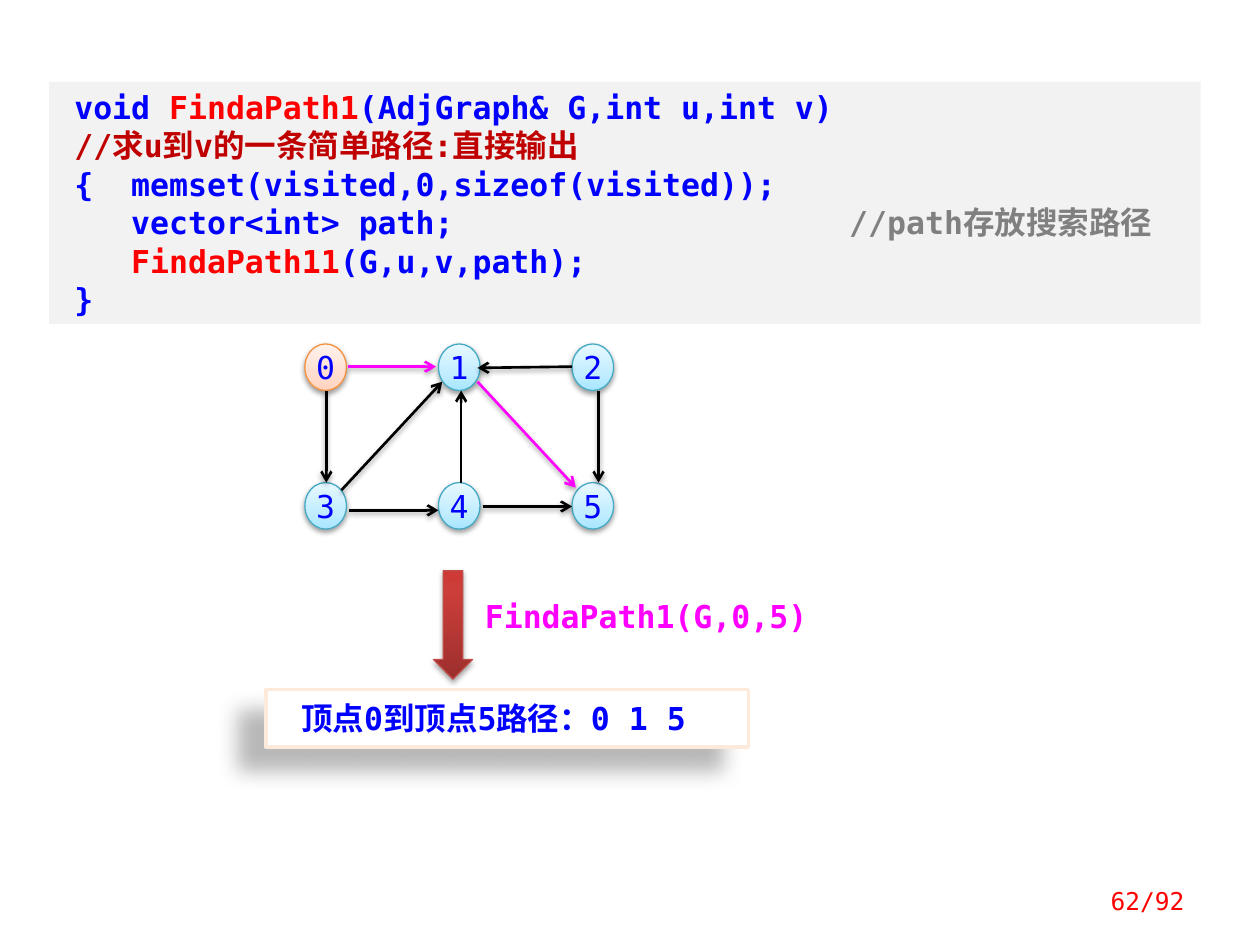
from dataclasses import dataclass
from typing import NamedTuple, Optional

import pptx
import pptx.dml.color
import pptx.enum.shapes
import pptx.enum.text
import pptx.oxml
import pptx.oxml.ns
import pptx.util
from pptx.dml.color import RGBColor
from pptx.util import Inches, Pt

FONT = "DejaVu Sans Mono"
BLUE = RGBColor(0x00, 0x00, 0xFF)
RED = RGBColor(0xFF, 0x00, 0x00)
DARK_RED = RGBColor(0xC0, 0x00, 0x00)
GRAY = RGBColor(0x80, 0x80, 0x80)
MAGENTA = RGBColor(0xFF, 0x00, 0xFF)
BLACK = RGBColor(0x00, 0x00, 0x00)
WHITE = RGBColor(0xFF, 0xFF, 0xFF)
CODE_FILL = RGBColor(0xF2, 0xF2, 0xF2)
RESULT_LINE = RGBColor(0xFD, 0xEA, 0xDA)

SHAPES = pptx.enum.shapes.MSO_SHAPE
ANCHOR = pptx.enum.text.MSO_ANCHOR
ALIGN = pptx.enum.text.PP_ALIGN
GROW = pptx.enum.text.MSO_AUTO_SIZE.SHAPE_TO_FIT_TEXT


class Box(NamedTuple):
    left: float
    top: float
    width: float
    height: float


class Shadow(NamedTuple):
    opacity: int
    blur: float
    distance: float
    angle: int


class Palette(NamedTuple):
    stops: tuple[tuple[int, RGBColor], ...]
    line: RGBColor


class Piece(NamedTuple):
    text: str
    color: RGBColor


@dataclass
class Node:
    label: str
    column: int
    row: int
    palette: Palette


@dataclass
class Edge:
    start: tuple[float, float]
    end: tuple[float, float]
    color: RGBColor = BLACK
    shaded: bool = True


SOFT_SHADOW = Shadow(38, 3.1, 1.6, 90)
ARROW_SHADOW = Shadow(35, 3.1, 1.8, 90)
RESULT_SHADOW = Shadow(28, 11.8, 19.7, 141)

CYAN_NODE = Palette(
    ((0, RGBColor(0xA7, 0xE6, 0xFF)), (35, RGBColor(0xC1, 0xED, 0xFF)),
     (100, RGBColor(0xE7, 0xF8, 0xFF))), RGBColor(0x46, 0xAA, 0xC5))
ORANGE_NODE = Palette(
    ((0, RGBColor(0xFF, 0xD2, 0xBD)), (35, RGBColor(0xFF, 0xDE, 0xD0)),
     (100, RGBColor(0xFF, 0xF2, 0xED))), RGBColor(0xF6, 0x92, 0x40))
RED_ARROW = Palette(
    ((0, RGBColor(0x9C, 0x2F, 0x2D)), (80, RGBColor(0xCB, 0x3E, 0x3A)),
     (100, RGBColor(0xCE, 0x3B, 0x37))), RGBColor(0xBF, 0x4C, 0x48))

CODE = [
    [Piece("void ", BLUE), Piece("FindaPath1", RED),
     Piece("(AdjGraph& G,int u,int v)", BLUE)],
    [Piece("//求u到v的一条简单路径:直接输出", DARK_RED)],
    [Piece("{  memset(visited,0,sizeof(visited));", BLUE)],
    [Piece("   vector<int> path;\t", BLUE), Piece("//path存放搜索路径", GRAY)],
    [Piece("   ", BLUE), Piece("FindaPath11", RED), Piece("(G,u,v,path);", BLUE)],
    [Piece("}", BLUE)],
]
COMMENT_TAB = Inches(6.15)

NODES = [Node(str(number), number % 3, number // 3,
              CYAN_NODE if number else ORANGE_NODE) for number in range(6)]
EDGES = [
    Edge((2.76, 2.91), (3.46, 2.91), MAGENTA),
    Edge((4.54, 2.91), (3.79, 2.92)),
    Edge((2.59, 3.1), (2.59, 3.83)),
    Edge((2.77, 4.05), (3.48, 4.05)),
    Edge((3.83, 4.02), (4.54, 4.02)),
    Edge((4.75, 3.1), (4.75, 3.83)),
    Edge((3.66, 3.83), (3.66, 3.1), shaded=False),
    Edge((2.71, 3.89), (3.51, 3.03)),
    Edge((3.79, 3.03), (4.57, 3.87), MAGENTA),
]


def add_child(parent, tag: str, **attributes):
    child = pptx.oxml.ns.qn(tag)
    element = parent.makeelement(child, {k: str(v) for k, v in attributes.items()})
    parent.append(element)
    return element


def set_shadow(shape, shadow: Optional[Shadow]) -> None:
    """Append the effect list; fill and line must already be set."""
    effects = add_child(shape._element.spPr, "a:effectLst")
    if shadow:
        outer = add_child(effects, "a:outerShdw", blurRad=Pt(shadow.blur),
                          dist=Pt(shadow.distance), dir=shadow.angle * 60000,
                          rotWithShape=0)
        color = add_child(outer, "a:srgbClr", val=BLACK)
        add_child(color, "a:alpha", val=shadow.opacity * 1000)


def set_gradient(shape, palette: Palette) -> None:
    """Fill from bottom to top with the palette's stops."""
    shape.fill.gradient()
    gradient = shape._element.spPr.find(pptx.oxml.ns.qn("a:gradFill"))
    for child in list(gradient):
        gradient.remove(child)
    stop_list = add_child(gradient, "a:gsLst")
    for position, color in palette.stops:
        stop = add_child(stop_list, "a:gs", pos=position * 1000)
        add_child(stop, "a:srgbClr", val=color)
    add_child(gradient, "a:lin", ang=270 * 60000, scaled=0)


def add_shape(slide, kind, box: Box, fill, line: Optional[RGBColor] = None,
              line_width: float = 0.75, shadow: Optional[Shadow] = None):
    shape = slide.shapes.add_shape(kind, *map(Inches, box))
    if isinstance(fill, Palette):
        set_gradient(shape, fill)
        line = fill.line
    else:
        shape.fill.solid()
        shape.fill.fore_color.rgb = fill
    if line is None:
        shape.line.fill.background()
    else:
        shape.line.color.rgb = line
        shape.line.width = Pt(line_width)
    set_shadow(shape, shadow)
    return shape


def set_margins(frame, left: float, top: float, right: float, bottom: float) -> None:
    frame.margin_left, frame.margin_top = Inches(left), Inches(top)
    frame.margin_right, frame.margin_bottom = Inches(right), Inches(bottom)


def write(paragraph, pieces: list[Piece], size: float = 18, bold: bool = False,
          align=ALIGN.LEFT) -> None:
    paragraph.alignment = align
    for piece in pieces:
        run = paragraph.add_run()
        run.text = piece.text
        run.font.name = FONT
        run.font.size = Pt(size)
        run.font.bold = bold
        run.font.color.rgb = piece.color


def add_code(slide) -> None:
    shape = add_shape(slide, SHAPES.RECTANGLE, Box(0.39, 0.65, 9.14, 1.92), CODE_FILL)
    frame = shape.text_frame
    frame.word_wrap = True
    frame.auto_size = GROW
    frame.vertical_anchor = ANCHOR.TOP
    set_margins(frame, 0.2, 0.04, 0.1, 0.04)
    for index, pieces in enumerate(CODE):
        paragraph = frame.add_paragraph() if index else frame.paragraphs[0]
        paragraph.line_spacing = Pt(22)
        if any("\t" in piece.text for piece in pieces):
            tabs = add_child(paragraph._p.get_or_add_pPr(), "a:tabLst")
            add_child(tabs, "a:tab", pos=COMMENT_TAB, algn="l")
        write(paragraph, pieces, bold=True)


def add_node(slide, node: Node) -> None:
    box = Box(2.42 + 1.06 * node.column, 2.73 + 1.1 * node.row, 0.33, 0.37)
    frame = add_shape(slide, SHAPES.OVAL, box, node.palette,
                      shadow=SOFT_SHADOW).text_frame
    set_margins(frame, 0, 0, 0, 0)
    frame.vertical_anchor = ANCHOR.MIDDLE
    write(frame.paragraphs[0], [Piece(node.label, BLUE)], align=ALIGN.CENTER)


def add_edge(slide, edge: Edge) -> None:
    connector = slide.shapes.add_connector(
        pptx.enum.shapes.MSO_CONNECTOR.STRAIGHT, *map(Inches, edge.start + edge.end))
    connector.line.color.rgb = edge.color
    connector.line.width = Pt(1.5)
    add_child(connector.line._get_or_add_ln(), "a:tailEnd", type="arrow")
    set_shadow(connector, SOFT_SHADOW if edge.shaded else None)


def add_label(slide, box: Box, piece: Piece, size: float, bold: bool, align, anchor):
    frame = slide.shapes.add_textbox(*map(Inches, box)).text_frame
    frame.word_wrap = True
    frame.vertical_anchor = anchor
    write(frame.paragraphs[0], [piece], size, bold, align)


def add_result(slide) -> None:
    frame = add_shape(slide, SHAPES.RECTANGLE, Box(2.11, 5.47, 3.83, 0.46), WHITE,
                      RESULT_LINE, 2, RESULT_SHADOW).text_frame
    frame.word_wrap = True
    frame.auto_size = GROW
    frame.vertical_anchor = ANCHOR.MIDDLE
    set_margins(frame, 0.28, 0.08, 0.1, 0.08)
    write(frame.paragraphs[0], [Piece("顶点0到顶点5路径：0 1 5", BLUE)], bold=True)


def main() -> None:
    presentation = pptx.Presentation()
    presentation.slide_width, presentation.slide_height = Inches(10), Inches(7.5)
    slide = presentation.slides.add_slide(presentation.slide_layouts[6])
    add_code(slide)
    add_result(slide)
    for node in NODES:
        add_node(slide, node)
    for edge in EDGES:
        add_edge(slide, edge)
    add_shape(slide, SHAPES.DOWN_ARROW, Box(3.44, 4.53, 0.31, 0.86), RED_ARROW,
              shadow=ARROW_SHADOW)
    add_label(slide, Box(3.75, 4.69, 3.36, 0.4), Piece("FindaPath1(G,0,5)", MAGENTA),
              18, True, ALIGN.LEFT, ANCHOR.TOP)
    add_label(slide, Box(8.28, 6.95, 1.22, 0.4), Piece("62/92", RED),
              14, False, ALIGN.RIGHT, ANCHOR.MIDDLE)
    presentation.save("out.pptx")


if __name__ == "__main__":
    main()
